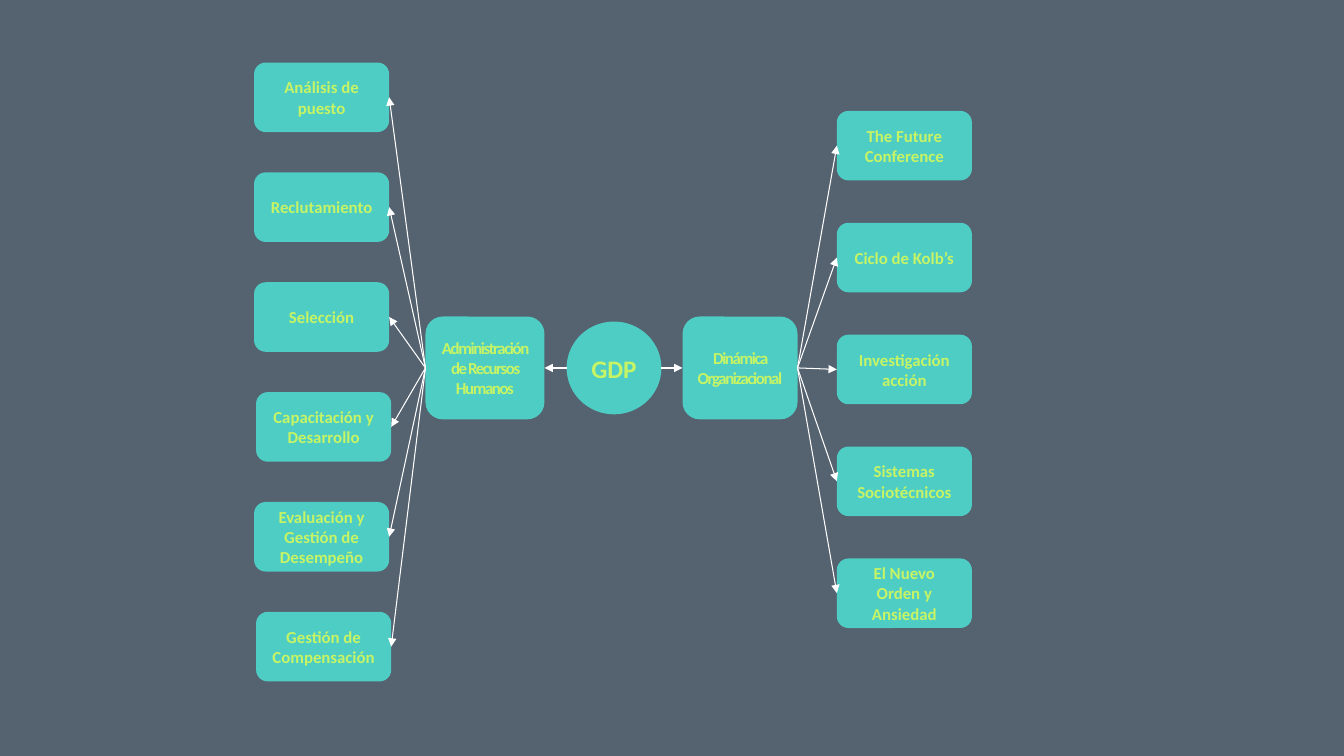
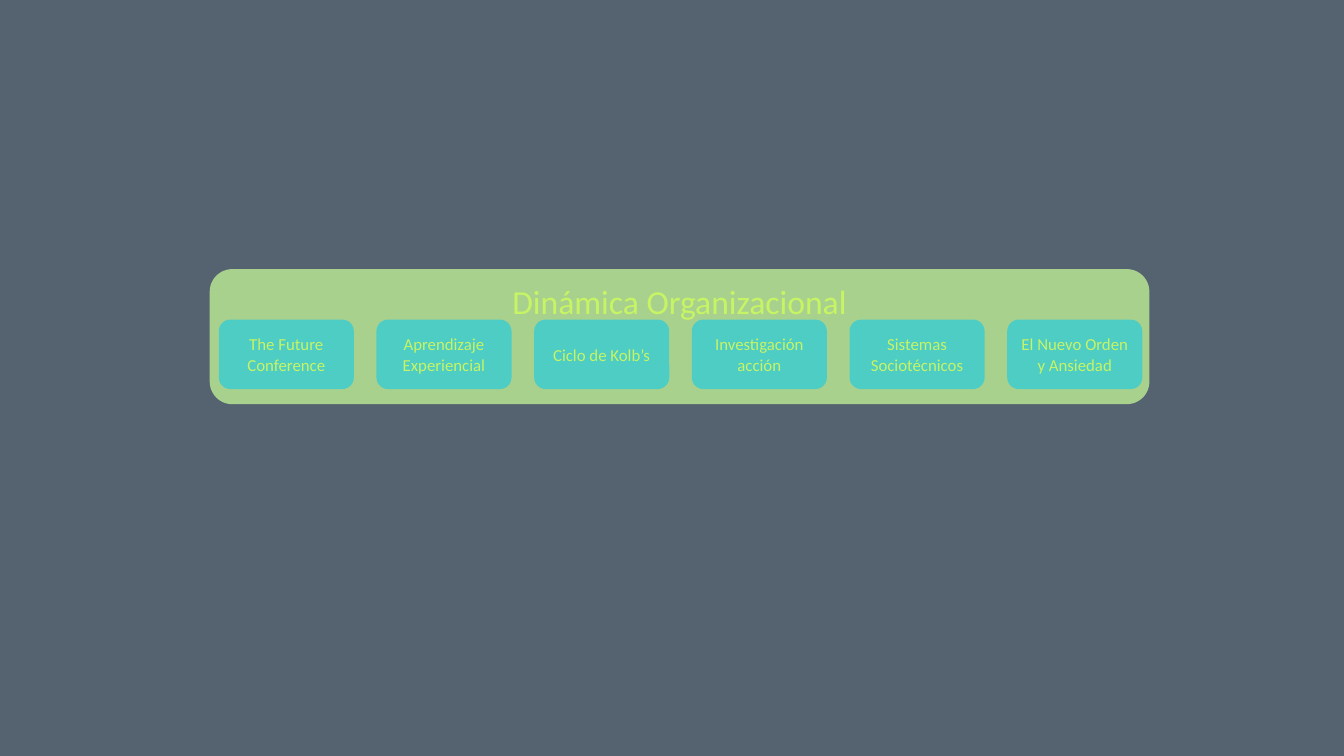
"""Build two slides that map the areas of people management."""
from pptx import Presentation
from pptx.dml.color import RGBColor
from pptx.enum.shapes import MSO_CONNECTOR, MSO_SHAPE
from pptx.enum.text import MSO_ANCHOR, PP_ALIGN
from pptx.oxml.ns import qn
from pptx.util import Inches, Pt
from lxml.etree import SubElement

SLATE = RGBColor(0x55, 0x62, 0x70)
TURQUOISE = RGBColor(0x4E, 0xCD, 0xC4)
LIME = RGBColor(0xC7, 0xF4, 0x64)
SAGE = RGBColor(0xA9, 0xD1, 0x8E)
WHITE = RGBColor(0xFF, 0xFF, 0xFF)

FONT = "Calibri"
BOX_WIDTH, BOX_HEIGHT = 1.34, 0.69
LEFT_SITE, RIGHT_SITE = 1, 3

RESOURCE_TOPICS = [
    ("Análisis de puesto", 2.52),
    ("Reclutamiento", 2.52),
    ("Selección", 2.52),
    ("Capacitación y Desarrollo", 2.54),
    ("Evaluación y Gestión de Desempeño", 2.52),
    ("Gestión de Compensación", 2.54),
]
DYNAMICS = "Dinámica Organizacional"
DYNAMICS_TOPICS = [
    "The Future Conference",
    "Ciclo de Kolb’s",
    "Investigación acción",
    "Sistemas Sociotécnicos",
    "El Nuevo Orden y Ansiedad",
]


def add_box(slide, text, left, top, width=BOX_WIDTH, height=BOX_HEIGHT,
            kind=MSO_SHAPE.ROUNDED_RECTANGLE, fill=TURQUOISE, size=12,
            bold=False, spacing=None, anchor=MSO_ANCHOR.MIDDLE):
    shape = slide.shapes.add_shape(
        kind, Inches(left), Inches(top), Inches(width), Inches(height))
    shape.shadow.inherit = False
    shape.fill.solid()
    shape.fill.fore_color.rgb = fill
    shape.line.fill.background()
    frame = shape.text_frame
    frame.text = text
    frame.word_wrap = True
    frame.vertical_anchor = anchor
    paragraph = frame.paragraphs[0]
    paragraph.alignment = PP_ALIGN.CENTER
    font = paragraph.runs[0].font
    font.name = FONT
    font.size = Pt(size)
    font.bold = bold
    font.color.rgb = LIME
    if spacing is not None:
        paragraph.runs[0].font._element.set("spc", str(spacing))
    return shape


def add_arrow(slide, source, target, width=0.75):
    to_right = target.left > source.left
    start = source.left + source.width if to_right else source.left
    end = target.left if to_right else target.left + target.width
    arrow = slide.shapes.add_connector(
        MSO_CONNECTOR.STRAIGHT,
        start, source.top + source.height // 2,
        end, target.top + target.height // 2)
    if source.auto_shape_type == MSO_SHAPE.ROUNDED_RECTANGLE:
        arrow.begin_connect(source, RIGHT_SITE if to_right else LEFT_SITE)
    arrow.end_connect(target, LEFT_SITE if to_right else RIGHT_SITE)
    arrow.line.color.rgb = WHITE
    arrow.line.width = Pt(width)
    properties = arrow._element.spPr
    SubElement(properties.find(qn("a:ln")), qn("a:tailEnd"), type="triangle")
    SubElement(properties, qn("a:effectLst"))


def add_branches(slide, hub, topics, top, step):
    for index, (text, left) in enumerate(topics):
        topic = add_box(slide, text, left, top + index * step, bold=True)
        add_arrow(slide, hub, topic)


def build_map(slide):
    center = add_box(slide, "GDP", 5.62, 3.19, 0.94, 0.92,
                     kind=MSO_SHAPE.OVAL, size=18, bold=True)
    resources = add_box(slide, "Administración de Recursos Humanos",
                        4.22, 3.14, 1.18, 1.02, bold=True, spacing=-100)
    dynamics = add_box(slide, DYNAMICS, 6.77, 3.14, 1.14, 1.02,
                       bold=True, spacing=-100)
    for hub in (resources, dynamics):
        add_arrow(slide, center, hub, 1.75)
    add_branches(slide, resources, RESOURCE_TOPICS, 0.62, 1.09)
    add_branches(slide, dynamics,
                 [(text, 8.3) for text in DYNAMICS_TOPICS], 1.1, 1.11)


def build_strip(slide):
    add_box(slide, DYNAMICS, 2.08, 2.67, 9.32, 1.34,
            fill=SAGE, size=24, anchor=MSO_ANCHOR.TOP)
    first, *others = DYNAMICS_TOPICS
    topics = [first, "Aprendizaje Experiencial", *others]
    for index, text in enumerate(topics):
        add_box(slide, text, 2.17 + index * 1.564, 3.17)


def main():
    presentation = Presentation()
    presentation.slide_width = Inches(13.33)
    presentation.slide_height = Inches(7.5)
    background = presentation.slide_master.background.fill
    background.solid()
    background.fore_color.rgb = SLATE
    blank = presentation.slide_layouts[6]
    for build in (build_map, build_strip):
        build(presentation.slides.add_slide(blank))
    presentation.save("out.pptx")


main()
